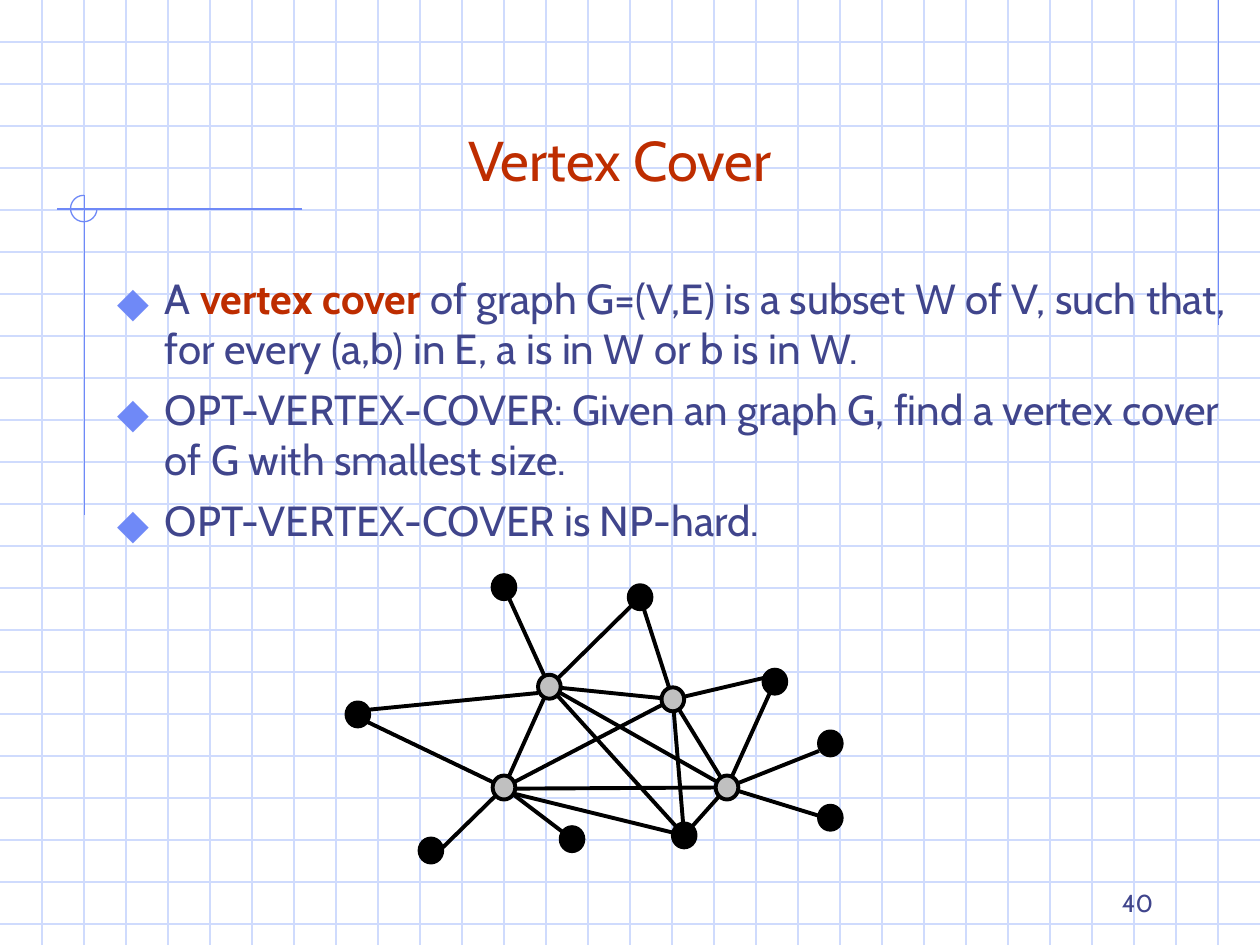
from lxml import etree
from pptx import Presentation
from pptx.dml.color import RGBColor
from pptx.enum.shapes import MSO_CONNECTOR, MSO_SHAPE
from pptx.enum.text import MSO_ANCHOR, PP_ALIGN
from pptx.oxml.ns import qn
from pptx.util import Inches, Pt

COLORS = {
    "grid": "CFDBFD",
    "accent": "6F89F7",
    "title": "BE2D00",
    "body": "40458C",
    "edge": "000000",
    "outer": "000000",
    "cover": "C0C0C0",
}
FONT = "Cabin"
BULLET_FONT = "Noto Sans Symbols"
SLIDE_W, SLIDE_H = 10, 7.5
GRID_STEP = 1 / 3

DEFINITIONS = [
    [("A ", False), ("vertex cover", True),
     (" of graph G=(V,E) is a subset W of V, such that, for every (a,b) in E, "
      "a is in W or b is in W.", False)],
    [("OPT-VERTEX-COVER: Given an graph G, find a vertex cover of G with "
      "smallest size.", False)],
    [("OPT-VERTEX-COVER is NP-hard.", False)],
]

# Node centres and loose edge ends, in inches from the corner of the graph
OUTER_NODES = {
    "top_left": (1.25, 0.16),
    "top": (2.33, 0.24),
    "upper_right": (3.4, 0.91),
    "right": (3.84, 1.4),
    "lower_right": (3.84, 1.99),
    "bottom_right": (2.68, 2.13),
    "bottom": (1.79, 2.16),
    "bottom_left": (0.67, 2.25),
    "left": (0.09, 1.17),
}
COVER_NODES = {
    "cover_a": (1.61, 0.95),
    "cover_b": (2.59, 1.05),
    "cover_c": (1.25, 1.75),
    "cover_d": (3.02, 1.75),
}
PATHS = [
    ["top_left", "cover_a", "cover_c", "bottom"],
    ["bottom_right", "cover_d", "upper_right"],
    [(1.17, 1.76), "bottom_right", "cover_a", "cover_d", (1.17, 1.76)],
    ["cover_c", "cover_b", "bottom_right"],
]
EDGES = [
    ("cover_b", "cover_a"),
    ("cover_b", "cover_d"),
    ((0, 1.15), (1.52, 1)),
    ((0.76, 2.23), "cover_c"),
    ((0, 1.15), "cover_c"),
    ("top", "cover_a"),
    ("top", "cover_b"),
    ("cover_b", (3.4, 0.86)),
    ("cover_d", (3.75, 1.46)),
    ("cover_d", (3.93, 2.03)),
]


def rgb(name):
    return RGBColor.from_string(COLORS[name])


def add_line(slide, start, end, color, width=0.75):
    line = slide.shapes.add_connector(
        MSO_CONNECTOR.STRAIGHT, *(Inches(v) for v in (*start, *end)))
    line.line.color.rgb = rgb(color)
    line.line.width = Pt(width)
    etree.SubElement(line._element.spPr, qn("a:effectLst"))


def style_outline(shape, color, width):
    shape.shadow.inherit = False
    shape.line.color.rgb = rgb(color)
    shape.line.width = Pt(width)


def add_text_frame(slide, left, top, width, height, anchor):
    frame = slide.shapes.add_textbox(
        Inches(left), Inches(top), Inches(width), Inches(height)).text_frame
    frame.word_wrap = True
    frame.vertical_anchor = anchor
    return frame


def set_font(paragraph, size, color):
    paragraph.font.name = FONT
    paragraph.font.size = Pt(size)
    paragraph.font.color.rgb = rgb(color)


def add_single_line(slide, left, top, width, height, text, size, color, align):
    frame = add_text_frame(slide, left, top, width, height, MSO_ANCHOR.BOTTOM)
    paragraph = frame.paragraphs[0]
    paragraph.text = text
    paragraph.alignment = align
    set_font(paragraph, size, color)


def add_grid(slide, left, top, width, height):
    for row in range(1, int(height / GRID_STEP) + 1):
        y = top + row * GRID_STEP
        add_line(slide, (left, y), (left + width, y), "grid")
    for column in range(1, round(width / GRID_STEP)):
        x = left + column * GRID_STEP
        add_line(slide, (x, top), (x, top + height), "grid")


def add_corner_mark(slide, left, top):
    """Crossing rules with a three-quarter circle around their crossing."""
    add_line(slide, (left + 1.95, top + 0.11), (left, top + 0.11), "accent")
    add_line(slide, (left + 0.22, top), (left + 0.22, top + 2.54), "accent")
    arc = slide.shapes.add_shape(
        MSO_SHAPE.ARC, Inches(left + 0.11), Inches(top), Inches(0.21), Inches(0.21))
    arc.adjustments[0] = 0
    arc.adjustments[1] = 162  # 270 degrees
    arc.fill.background()
    style_outline(arc, "accent", 0.75)


def add_bullet(paragraph):
    properties = paragraph._p.get_or_add_pPr()
    properties.set("marL", str(Inches(0.38)))
    properties.set("indent", str(-Inches(0.38)))
    color = etree.SubElement(properties, qn("a:buClr"))
    etree.SubElement(color, qn("a:srgbClr"), val=COLORS["accent"])
    etree.SubElement(properties, qn("a:buSzPct"), val="110000")
    etree.SubElement(properties, qn("a:buFont"), typeface=BULLET_FONT)
    etree.SubElement(properties, qn("a:buChar"), char="⬥")


def add_definitions(slide, left, top, width, height):
    frame = add_text_frame(slide, left, top, width, height, MSO_ANCHOR.TOP)
    for index, parts in enumerate(DEFINITIONS):
        paragraph = frame.add_paragraph() if index else frame.paragraphs[0]
        add_bullet(paragraph)
        if index:
            paragraph.space_before = Pt(6)
        set_font(paragraph, 24, "body")
        for text, is_term in parts:
            run = paragraph.add_run()
            run.text = text
            if is_term:
                run.font.bold = True
                run.font.color.rgb = rgb("title")


def add_graph(slide, left, top):
    nodes = OUTER_NODES | COVER_NODES

    def locate(point):
        x, y = nodes.get(point, point)
        return left + x, top + y

    for path in PATHS:
        points = [tuple(Inches(v) for v in locate(point)) for point in path]
        builder = slide.shapes.build_freeform(*points[0])
        builder.add_line_segments(points[1:], close=False)
        outline = builder.convert_to_shape()
        outline.fill.background()
        style_outline(outline, "edge", 2.25)
    for start, end in EDGES:
        add_line(slide, locate(start), locate(end), "edge", 2.25)

    node_w, node_h = 0.18, 0.19
    for group, color in ((OUTER_NODES, "outer"), (COVER_NODES, "cover")):
        for name in group:
            x, y = locate(name)
            node = slide.shapes.add_shape(
                MSO_SHAPE.OVAL, Inches(x - node_w / 2), Inches(y - node_h / 2),
                Inches(node_w), Inches(node_h))
            node.fill.solid()
            node.fill.fore_color.rgb = rgb(color)
            style_outline(node, "edge", 2.25)


def main():
    presentation = Presentation()
    presentation.slide_width = Inches(SLIDE_W)
    presentation.slide_height = Inches(SLIDE_H)
    slide = presentation.slides.add_slide(presentation.slide_layouts[6])
    add_grid(slide, 0, 0, SLIDE_W, SLIDE_H)
    add_line(slide, (9.67, 0), (9.67, 2.58), "accent")
    add_corner_mark(slide, 0.45, 1.55)
    add_single_line(slide, 0.67, 0.33, 8.5, 1.25, "Vertex Cover", 32, "title",
                    PP_ALIGN.CENTER)
    add_definitions(slide, 0.83, 2.11, 9, 2.64)
    add_graph(slide, 2.75, 4.5)
    add_single_line(slide, 7.17, 6.83, 2.08, 0.5, "40", 14, "body", PP_ALIGN.RIGHT)
    presentation.save("out.pptx")


if __name__ == "__main__":
    main()
